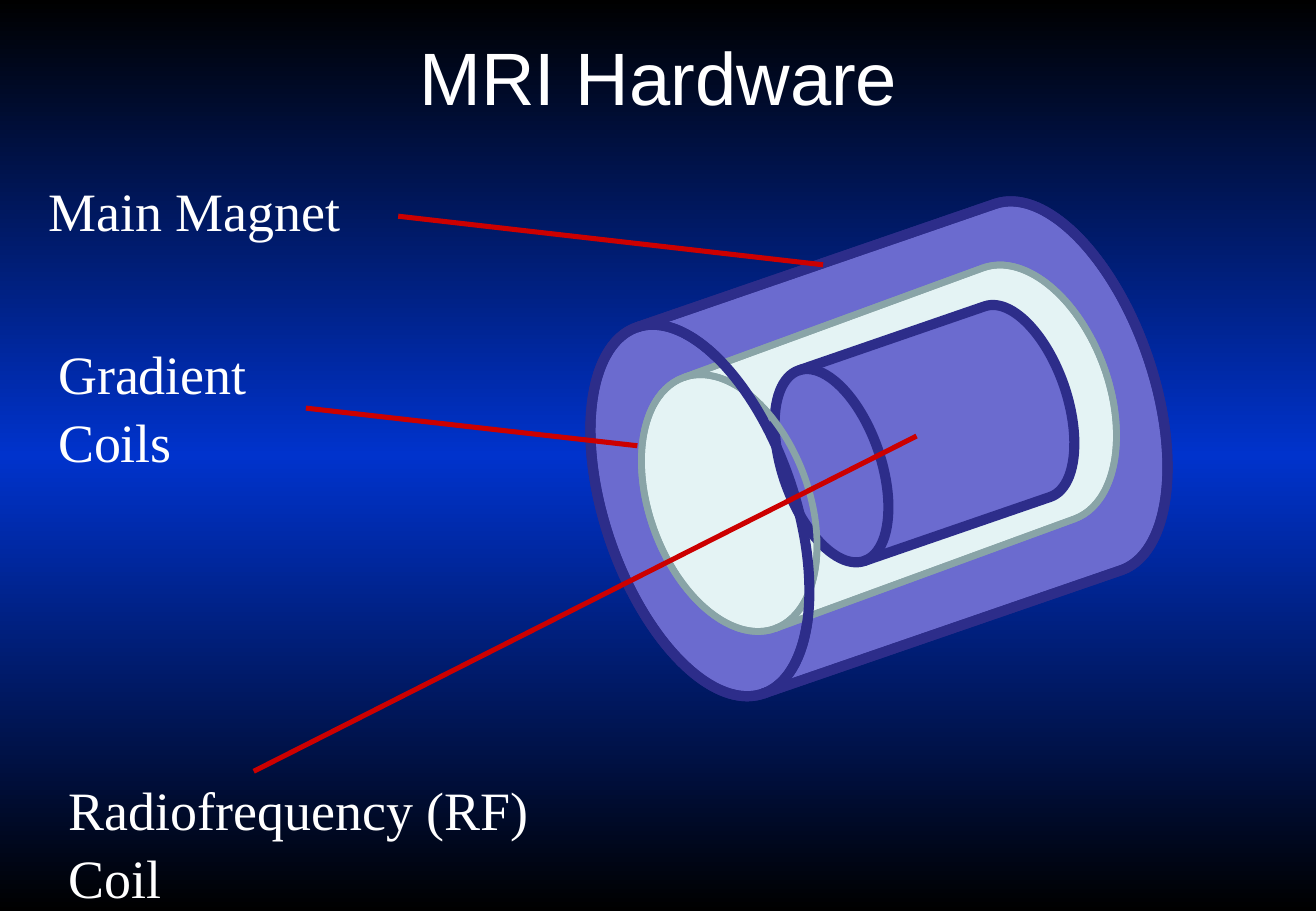
"""Build the MRI hardware slide: three nested coils with labels and pointers."""
from copy import deepcopy

from lxml import etree
from pptx import Presentation
from pptx.dml.color import RGBColor
from pptx.enum.shapes import MSO_CONNECTOR, MSO_SHAPE
from pptx.enum.text import MSO_ANCHOR, PP_ALIGN
from pptx.oxml.ns import qn
from pptx.util import Inches, Pt

DRUM = MSO_SHAPE.FLOWCHART_DIRECT_ACCESS_STORAGE
STRAIGHT = MSO_CONNECTOR.STRAIGHT
MIDDLE = MSO_ANCHOR.MIDDLE
CENTER = PP_ALIGN.CENTER
BLACK = RGBColor(0x00, 0x00, 0x00)
BLUE = RGBColor(0x00, 0x33, 0xCC)
WHITE = RGBColor(0xFF, 0xFF, 0xFF)
RED = RGBColor(0xCC, 0x00, 0x00)
VIOLET = RGBColor(0x6B, 0x6B, 0xCF)
INDIGO = RGBColor(0x2D, 0x2D, 0x8A)
ICE = RGBColor(0xE4, 0xF3, 0xF4)
SAGE = RGBColor(0x89, 0xA4, 0xA7)

MAGNET = ((4.9, 2.1, 4.68, 3.19), 161, INDIGO, 6)
GRADIENT_COIL = ((5.27, 2.59, 3.94, 2.2), 159.9, SAGE, 4)
RF_COIL = ((6.4, 2.74, 2.43, 1.66), 161, INDIGO, 6)
SCANNER = [
    (MAGNET, VIOLET),
    (GRADIENT_COIL, ICE),
    (RF_COIL, VIOLET),
    (GRADIENT_COIL, None),
    (MAGNET, None),
]
CALLOUTS = [
    ("Main Magnet", (0.3, 1.39, 2.91, 0.64), (3.28, 1.78, 6.78, 2.18)),
    ("Gradient\nCoils", (0.38, 2.73, 1.98, 1.17), (2.52, 3.36, 5.25, 3.67)),
    ("Radiofrequency (RF)\nCoil", (0.47, 6.32, 4.54, 1.17), (2.09, 6.35, 7.55, 3.59)),
]


class SlideBuilder:
    """Hold the text style and the current slide."""

    title_font, title_size = "Arial", Pt(44)
    label_font, label_size = "Times New Roman", Pt(32)

    def __init__(self, slide):
        self.slide = slide

    def background(self, colors):
        fill = self.slide.background.fill
        fill.gradient()
        fill.gradient_angle = 270
        stop_list = self.slide.element.find(".//" + qn("a:gsLst"))
        while len(stop_list) < len(colors):
            stop_list.append(deepcopy(stop_list[0]))
        for index, (stop, color) in enumerate(zip(fill.gradient_stops, colors)):
            stop.position = index / (len(colors) - 1)
            stop.color.rgb = color

    def set_text(self, frame, text, font_name, size):
        frame.word_wrap = True
        frame.text = text
        for paragraph in frame.paragraphs:
            for run in paragraph.runs:
                run.font.name = font_name
                run.font.size = size
                run.font.color.rgb = WHITE

    def title(self, text, box):
        heading = self.slide.shapes.title
        heading.left, heading.top, heading.width, heading.height = map(Inches, box)
        frame = heading.text_frame
        self.set_text(frame, text, self.title_font, self.title_size)
        frame.vertical_anchor = MIDDLE
        frame.paragraphs[0].alignment = CENTER

    def label(self, text, box):
        frame = self.slide.shapes.add_textbox(*map(Inches, box)).text_frame
        self.set_text(frame, text, self.label_font, self.label_size)
        for paragraph in frame.paragraphs:
            paragraph.line_spacing = 1.05

    def drum(self, group, box, rotation, line_color, line_width, fill_color):
        cylinder = group.shapes.add_shape(DRUM, *map(Inches, box))
        cylinder.rotation = rotation
        cylinder.shadow.inherit = False
        cylinder.line.color.rgb = line_color
        cylinder.line.width = Pt(line_width)
        if fill_color is None:
            cylinder.fill.background()
        else:
            cylinder.fill.solid()
            cylinder.fill.fore_color.rgb = fill_color

    def pointer(self, ends):
        connector = self.slide.shapes.add_connector(STRAIGHT, *map(Inches, ends))
        connector.line.color.rgb = RED
        connector.line.width = Pt(3)
        etree.SubElement(connector._element.spPr, qn("a:effectLst"))


def main():
    presentation = Presentation()
    presentation.slide_width = Inches(10.84)
    presentation.slide_height = Inches(7.5)
    title_only = presentation.slide_layouts[5]
    builder = SlideBuilder(presentation.slides.add_slide(title_only))
    builder.background([BLACK, BLUE, BLACK])
    builder.title("MRI Hardware", (0.55, 0, 9.75, 1.25))
    scanner = builder.slide.shapes.add_group_shape()
    for part, fill_color in SCANNER:
        builder.drum(scanner, *part, fill_color)
    for text, box, ends in CALLOUTS:
        builder.label(text, box)
        builder.pointer(ends)
    presentation.save("out.pptx")


if __name__ == "__main__":
    main()
